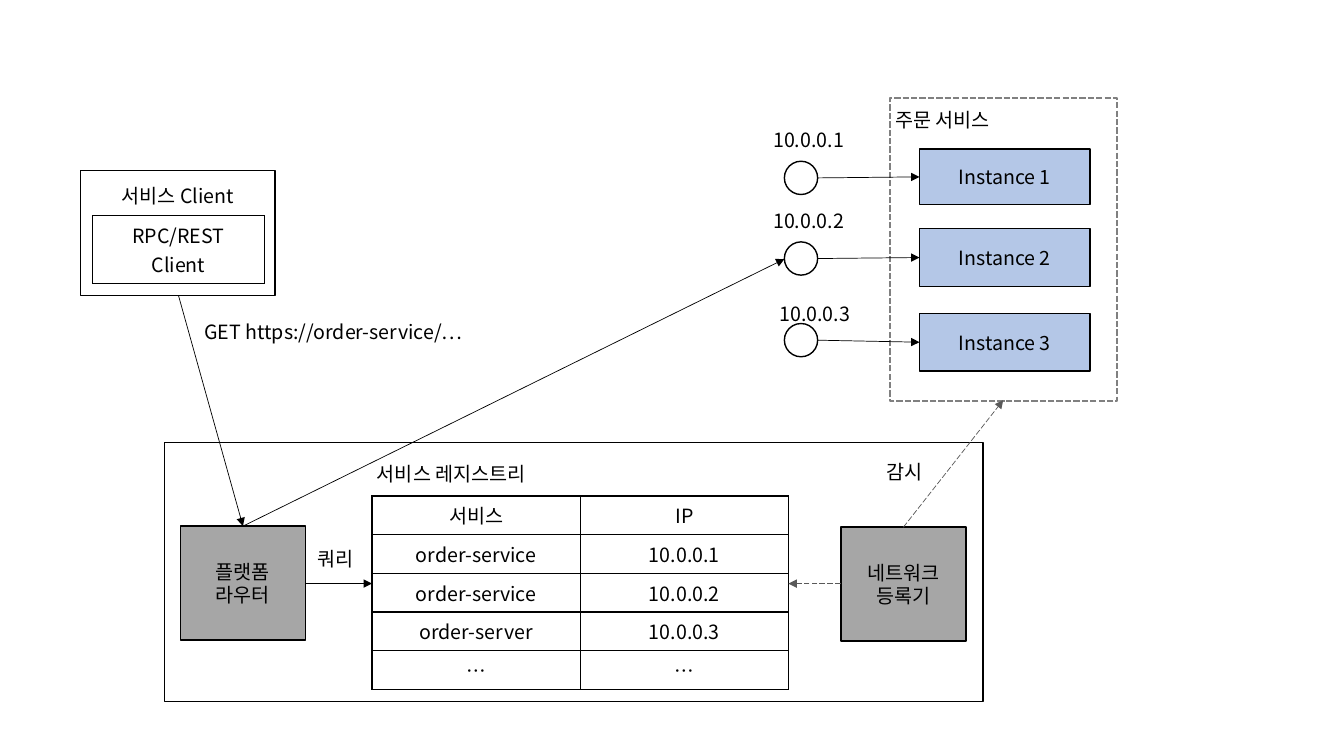
from dataclasses import dataclass
from typing import Any, Optional

import pptx
import pptx.dml.color
import pptx.enum.dml
import pptx.enum.shapes
import pptx.enum.text
import pptx.oxml
import pptx.oxml.ns
import pptx.util
from pptx.util import Inches

RGBColor = pptx.dml.color.RGBColor
Dash = pptx.enum.dml.MSO_LINE
Preset = pptx.enum.shapes.MSO_SHAPE
Align = pptx.enum.text.PP_ALIGN
Anchor = pptx.enum.text.MSO_ANCHOR

BLACK = RGBColor(0x00, 0x00, 0x00)
WHITE = RGBColor(0xFF, 0xFF, 0xFF)
BLUE = RGBColor(0xB4, 0xC7, 0xE7)
GRAY = RGBColor(0xA6, 0xA6, 0xA6)
BORDER_GRAY = RGBColor(0x80, 0x80, 0x80)
WATCH_GRAY = RGBColor(0x59, 0x59, 0x59)

FONT_FORMAT = {"name": "Noto Sans CJK KR", "size": pptx.util.Pt(14)}
BOX_FRAME_FORMAT = {"word_wrap": True, "vertical_anchor": Anchor.MIDDLE}
CLIENT_FRAME_FORMAT = {
    "word_wrap": True,
    "vertical_anchor": Anchor.TOP,
    "margin_top": Inches(0.13),
}
LABEL_FRAME_FORMAT = {"word_wrap": True, "vertical_anchor": Anchor.TOP}
TABLE_FORMAT = {"first_row": False, "horz_banding": False}


@dataclass(frozen=True)
class Box:
    left: float
    top: float
    width: float
    height: float
    text: str = ""
    fill: Optional[RGBColor] = WHITE
    line: RGBColor = BLACK
    weight: float = 1
    dash: Optional[Any] = None
    preset: Any = Preset.RECTANGLE


@dataclass(frozen=True)
class Arrow:
    start: tuple[float, float]
    end: tuple[float, float]
    color: RGBColor = BLACK
    dash: Optional[Any] = None


@dataclass(frozen=True)
class Label:
    left: float
    top: float
    width: float
    text: str


@dataclass(frozen=True)
class Instance:
    name: str
    address: str
    label_left: float
    label_top: float
    node_top: float
    box_top: float
    box_height: float


CLIENT = Box(0.8, 1.69, 1.93, 1.24, "서비스 Client")
BOXES = [
    Box(1.63, 4.39, 8.12, 2.57),
    Box(8.83, 0.97, 2.25, 3.01, fill=None, line=BORDER_GRAY, weight=1.5, dash=Dash.SQUARE_DOT),
    Box(1.79, 5.22, 1.24, 1.13, "플랫폼\n라우터", GRAY),
    Box(8.34, 5.23, 1.24, 1.13, "네트워크\n등록기", GRAY),
]
INSTANCES = [
    Instance("Instance 1", "10.0.0.1", 7.57, 1.22, 1.6, 1.48, 0.55),
    Instance("Instance 2", "10.0.0.2", 7.57, 2.02, 2.4, 2.27, 0.57),
    Instance("Instance 3", "10.0.0.3", 7.63, 2.95, 3.21, 3.11, 0.57),
]
NODE_LEFT, NODE_SIZE = 7.78, 0.33
INSTANCE_LEFT, INSTANCE_WIDTH = 9.12, 1.69
ARROWS = [
    Arrow((1.77, 2.93), (2.41, 5.22)),
    Arrow((2.41, 5.22), (7.78, 2.57)),
    Arrow((3.03, 5.79), (3.69, 5.79)),
    Arrow((8.96, 5.23), (9.95, 3.97), WATCH_GRAY, Dash.LONG_DASH),
    Arrow((8.34, 5.79), (7.82, 5.79), WATCH_GRAY, Dash.LONG_DASH),
]
LABELS = [
    Label(3.64, 4.53, 1.99, "서비스 레지스트리"),
    Label(8.78, 1.02, 1.99, "주문 서비스"),
    Label(1.93, 3.12, 3, "GET https://order-service/…"),
    Label(8.69, 4.51, 0.71, "감시"),
    Label(3.05, 5.38, 0.71, "쿼리"),
]
REGISTRY = [
    ["서비스", "IP"],
    ["order-service", "10.0.0.1"],
    ["order-service", "10.0.0.2"],
    ["order-server", "10.0.0.3"],
    ["…", "…"],
]


def apply_format(target: Any, values: dict[str, Any]) -> None:
    for name, value in values.items():
        setattr(target, name, value)


def write_text(frame: Any, text: str, alignment: Any) -> None:
    frame.text = text
    for paragraph in frame.paragraphs:
        paragraph.alignment = alignment
        for run in paragraph.runs:
            apply_format(run.font, FONT_FORMAT)
            run.font.color.rgb = BLACK


def draw_box(slide: Any, box: Box, frame_format: dict[str, Any] = BOX_FRAME_FORMAT) -> None:
    shape = slide.shapes.add_shape(
        box.preset, Inches(box.left), Inches(box.top), Inches(box.width), Inches(box.height)
    )
    shape.shadow.inherit = False
    if box.fill is None:
        shape.fill.background()
    else:
        shape.fill.solid()
        shape.fill.fore_color.rgb = box.fill
    shape.line.color.rgb = box.line
    apply_format(shape.line, {"width": pptx.util.Pt(box.weight), "dash_style": box.dash})
    if box.text:
        apply_format(shape.text_frame, frame_format)
        write_text(shape.text_frame, box.text, Align.CENTER)


def draw_arrow(slide: Any, arrow: Arrow) -> None:
    connector = slide.shapes.add_connector(
        pptx.enum.shapes.MSO_CONNECTOR.STRAIGHT, *map(Inches, arrow.start + arrow.end)
    )
    connector.line.color.rgb = arrow.color
    apply_format(connector.line, {"width": pptx.util.Pt(0.5), "dash_style": arrow.dash})
    head = pptx.oxml.parse_xml(
        f'<a:tailEnd {pptx.oxml.ns.nsdecls("a")} type="triangle"/>'
    )
    connector.line._get_or_add_ln().append(head)
    effects = pptx.oxml.parse_xml(f'<a:effectLst {pptx.oxml.ns.nsdecls("a")}/>')
    connector._element.spPr.append(effects)


def draw_label(slide: Any, label: Label) -> None:
    text_box = slide.shapes.add_textbox(
        Inches(label.left), Inches(label.top), Inches(label.width), Inches(0.34)
    )
    apply_format(text_box.text_frame, LABEL_FRAME_FORMAT)
    write_text(text_box.text_frame, label.text, Align.LEFT)


def draw_table(
    slide: Any, rows: list[list[str]], left: float, top: float, width: float,
    row_height: float, fill: Optional[RGBColor] = None,
) -> None:
    table = slide.shapes.add_table(
        len(rows), len(rows[0]), Inches(left), Inches(top),
        Inches(width), Inches(row_height * len(rows)),
    ).table
    apply_format(table, TABLE_FORMAT)
    for cell, text in zip(table.iter_cells(), sum(rows, [])):
        for side in ("lnL", "lnR", "lnT", "lnB"):
            border = pptx.oxml.parse_xml(
                f'<a:{side} {pptx.oxml.ns.nsdecls("a")} w="12700"><a:solidFill>'
                f'<a:srgbClr val="{BLACK}"/></a:solidFill></a:{side}>'
            )
            cell._tc.get_or_add_tcPr().append(border)
        if fill is None:
            cell.fill.background()
        else:
            cell.fill.solid()
            cell.fill.fore_color.rgb = fill
        cell.vertical_anchor = Anchor.MIDDLE
        write_text(cell.text_frame, text, Align.CENTER)


def draw_instance(slide: Any, instance: Instance) -> None:
    draw_box(slide, Box(INSTANCE_LEFT, instance.box_top, INSTANCE_WIDTH,
                        instance.box_height, instance.name, BLUE))
    draw_box(slide, Box(NODE_LEFT, instance.node_top, NODE_SIZE, NODE_SIZE, preset=Preset.OVAL))
    draw_arrow(slide, Arrow(
        (NODE_LEFT + NODE_SIZE, instance.node_top + NODE_SIZE / 2),
        (INSTANCE_LEFT, instance.box_top + instance.box_height / 2),
    ))
    draw_label(slide, Label(instance.label_left, instance.label_top, 1.99, instance.address))


def main() -> None:
    presentation = pptx.Presentation()
    apply_format(presentation, {"slide_width": Inches(13.33), "slide_height": Inches(7.5)})
    slide = presentation.slides.add_slide(presentation.slide_layouts[6])
    draw_box(slide, CLIENT, CLIENT_FRAME_FORMAT)
    for box in BOXES:
        draw_box(slide, box)
    draw_table(slide, [["RPC/REST\nClient"]], 0.92, 2.14, 1.7, 0.67, WHITE)
    draw_table(slide, REGISTRY, 3.69, 4.92, 4.13, 0.38)
    for instance in INSTANCES:
        draw_instance(slide, instance)
    for arrow in ARROWS:
        draw_arrow(slide, arrow)
    for label in LABELS:
        draw_label(slide, label)
    presentation.save("out.pptx")


if __name__ == "__main__":
    main()
